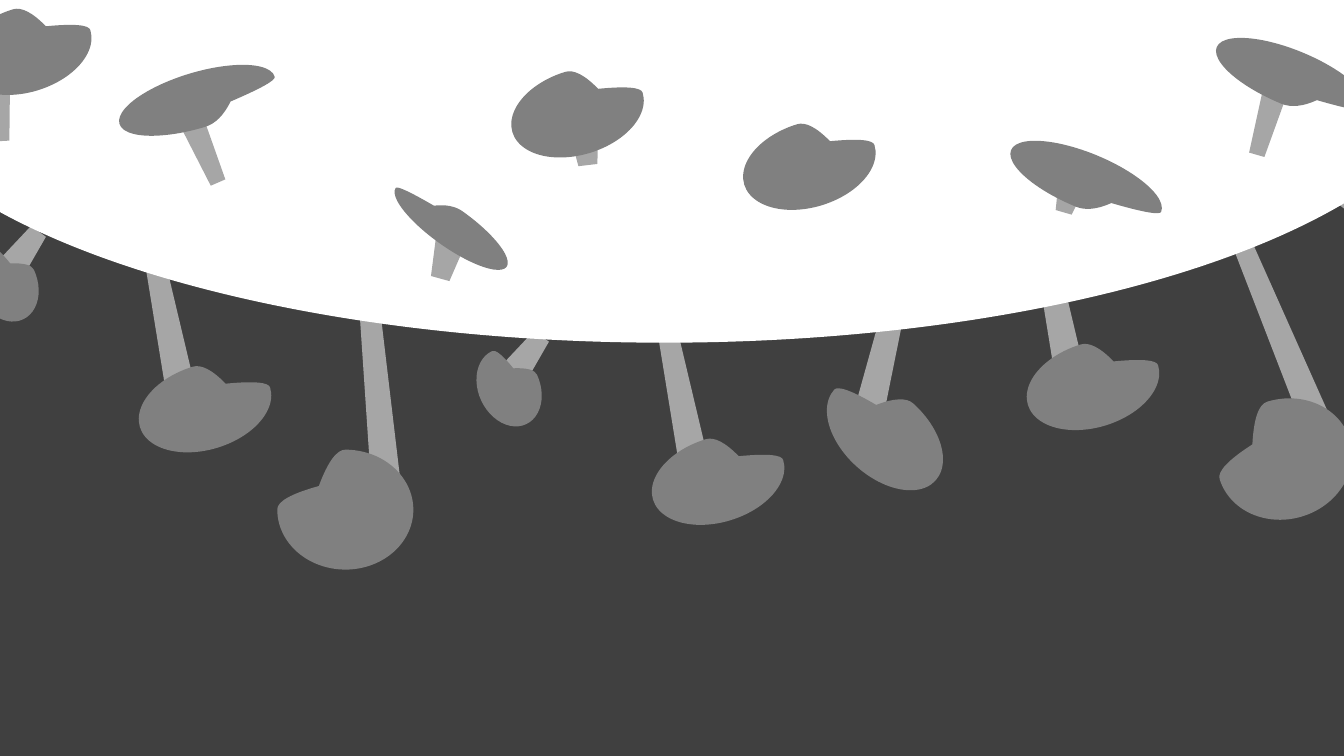
from pptx import Presentation
from pptx.dml.color import RGBColor
from pptx.enum.shapes import MSO_SHAPE
from pptx.util import Pt

TRAP = MSO_SHAPE.TRAPEZOID
TEAR = MSO_SHAPE.TEAR
OVAL = MSO_SHAPE.OVAL

DARK = RGBColor(0x40, 0x40, 0x40)
GREY = RGBColor(0x80, 0x80, 0x80)
PALE = RGBColor(0xA6, 0xA6, 0xA6)
WHITE = RGBColor(0xFF, 0xFF, 0xFF)

WIDE = (60.5, 97.2, 73.1, "flipH")
SLIM = (39.6, 115.9, 73.1, None)
TILT = (39.6, 115.9, 112.4, None)
THIN = (28.1, 97.2, 305.4, None)
SMALL = (43.9, 57.6, 334.9, None)
LEAN = (60.5, 97.2, 311.8, None)
ROUND = (85.7, 97.2, 270.3, None)
TURN = (85.7, 97.2, 253, None)

SHORT_STEM = (20.9, 33.1, 36.6, None)
MID_STEM = (20.9, 107.3, 348.7, None)
LEAN_STEM = (20.9, 107.3, 13.5, None)
SIDE_STEM = (20.9, 107.3, 306.6, None)
LONG_STEM = (20.9, 152.6, 354.7, "flipH")
TURN_STEM = (20.9, 152.6, 337.4, "flipH")

SHORT = (SHORT_STEM, SMALL, -24.8, 11.2)
MID = (MID_STEM, WIDE, 8.9, 73.8)
LONG = (LONG_STEM, ROUND, -54, 126)
STEEP = (TURN_STEM, TURN, -24.5, 127.4)
BENT = (LEAN_STEM, LEAN, -22.3, 79.2)

HUNG = [
    (SHORT, 7.2, 162),
    (MID, 107.3, 168.5),
    (LONG, 257.8, 189.4),
    (SHORT, 366.5, 236.9),
    (STEEP, 899.3, 151.9),
    (MID, 741.6, 152.6),
    (MID, 473.8, 220.3),
    (BENT, 624.2, 182.9),
]

STOOD = [
    ((-9.4, 50.4, 18, 50.4, 356.8), (-12.2, -13), WIDE),
    ((136.8, 82.1, 18, 50.4, 336.7), (121, 13.7), SLIM),
    ((307.4, 171.4, 21.6, 28.1, 15.4), (308.2, 113.8), THIN),
    ((895.7, 61.2, 18, 50.4, 16.1), (902.9, -2.2), TILT),
    ((753.1, 135.4, 18, 16.6, 16.1), (756, 71.3), TILT),
    ((407.5, 90, 21.6, 28.1, 353.2), (382.3, 31.7), WIDE),
]


def draw(slide, kind, box, fill, turn=0, flip=None, bend=None):
    shape = slide.shapes.add_shape(kind, *map(Pt, box))
    shape.fill.solid()
    shape.line.fill.background()
    parts = [
        (shape, {"rotation": turn}),
        (shape.shadow, {"inherit": False}),
        (shape.fill.fore_color, {"rgb": fill}),
    ]
    for part, looks in parts:
        for name, value in looks.items():
            setattr(part, name, value)
    if bend is not None:
        shape.adjustments[0] = bend
    if flip:
        shape.element.spPr.xfrm.set(flip, "1")


def stem(slide, x, y, form):
    w, h, turn, flip = form
    draw(slide, TRAP, (x, y, w, h), PALE, turn, flip, 0.185)


def cap(slide, x, y, form):
    w, h, turn, flip = form
    draw(slide, TEAR, (x, y, w, h), GREY, turn, flip, 0.391)


def hang(slide, form, x, y):
    stalk, head, dx, dy = form
    stem(slide, x, y, stalk)
    cap(slide, x + dx, y + dy, head)


def stand(slide, stalk, spot, head):
    x, y, w, h, turn = stalk
    stem(slide, x, y, (w, h, turn, "flipV"))
    cap(slide, *spot, head)


def main():
    deck = Presentation()
    deck.slide_width, deck.slide_height = Pt(960), Pt(540)
    slide = deck.slides.add_slide(deck.slide_layouts[6])
    ground = slide.background.fill
    ground.solid()
    ground.fore_color.rgb = DARK

    stem(slide, 969.1, 100.1, SIDE_STEM)
    for form, x, y in HUNG:
        hang(slide, form, x, y)
    draw(slide, OVAL, (-98.6, -180, 1146.2, 424.8), WHITE)
    cap(slide, 547.9, 69.1, WIDE)
    for stalk, spot, head in STOOD:
        stand(slide, stalk, spot, head)

    deck.save("out.pptx")


if __name__ == "__main__":
    main()
